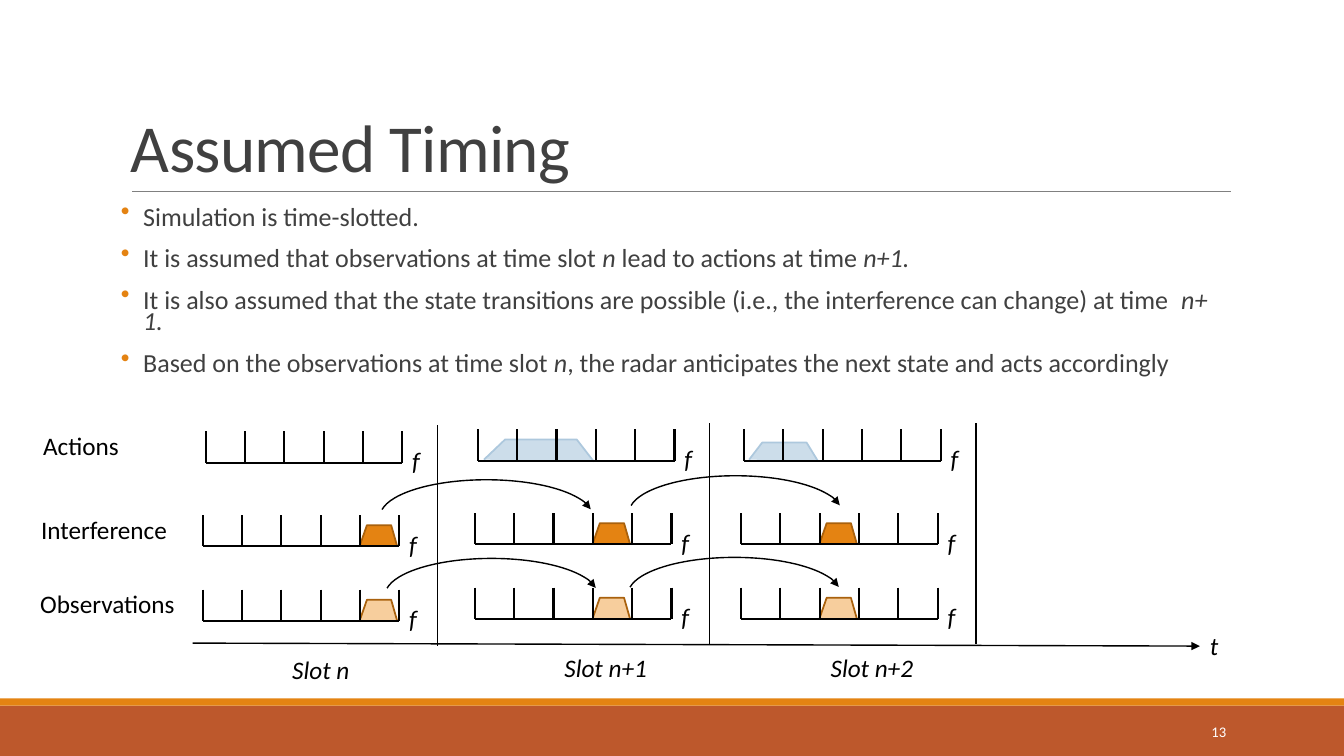
"""Build the Assumed Timing slide with python-pptx."""
from dataclasses import dataclass

from lxml.etree import SubElement
from pptx import Presentation
from pptx.dml.color import RGBColor
from pptx.enum.shapes import MSO_CONNECTOR, MSO_SHAPE
from pptx.enum.text import MSO_ANCHOR, PP_ALIGN
from pptx.oxml.ns import qn
from pptx.util import Inches, Pt


@dataclass(frozen=True)
class Theme:
    """Colours, font and type sizes of the slide."""
    font: str = "Calibri"
    ink: str = "000000"
    body: str = "404040"
    rule: str = "808080"
    white: str = "FFFFFF"
    band: str = "BD582C"
    accent: str = "E48312"
    accent_pale: str = "F7CE9D"
    accent_dark: str = "A9610D"
    action: str = "CCDDEA"
    action_edge: str = "ADC8DD"
    title_size: float = 48
    body_size: float = 18.6
    label_size: float = 18
    number_size: float = 10.5


class TimingSlide:
    """Holds the theme and the current slide and draws its elements."""

    def __init__(self, prs, theme):
        """Add a blank slide."""
        self.t = theme
        self.s = prs.slides.add_slide(prs.slide_layouts[6])

    def bar(self, y, h, color):
        """Draw a full-width band."""
        sp = self.s.shapes.add_shape(MSO_SHAPE.RECTANGLE, 0, Inches(y), Inches(13.33), Inches(h))
        sp.shadow.inherit = False
        sp.fill.solid()
        sp.fill.fore_color.rgb = RGBColor.from_string(color)
        sp.line.fill.background()

    def stroke(self, line, color, width, arrow=False):
        """Set the colour, width and arrowhead of a line."""
        line.color.rgb = RGBColor.from_string(color)
        line.width = Pt(width)
        if arrow:
            SubElement(line._get_or_add_ln(), qn("a:tailEnd"), type="triangle")

    def line(self, x1, y1, x2, y2, color, width, arrow=False, shapes=None):
        """Draw a straight line on the slide or in a group."""
        target = self.s.shapes if shapes is None else shapes
        cn = target.add_connector(MSO_CONNECTOR.STRAIGHT, *map(Inches, (x1, y1, x2, y2)))
        self.stroke(cn.line, color, width, arrow)
        SubElement(cn._element.spPr, qn("a:effectLst"))

    def style(self, r, size, color, italic=False):
        """Format one run."""
        r.font.name = self.t.font
        r.font.size = Pt(size)
        r.font.italic = italic
        r.font.color.rgb = RGBColor.from_string(color)

    def box(self, x, y, w, h, anchor=MSO_ANCHOR.TOP):
        """Add an empty wrapping text box and return its frame."""
        tf = self.s.shapes.add_textbox(*map(Inches, (x, y, w, h))).text_frame
        tf.word_wrap = True
        tf.vertical_anchor = anchor
        return tf

    def label(self, text, x, y, w, italic=True):
        """Write a short diagram label."""
        tf = self.box(x, y, w, 0.4)
        tf.text = text
        self.style(tf.paragraphs[0].runs[0], self.t.label_size, self.t.ink, italic)

    def title(self, text):
        """Write the slide title."""
        tf = self.box(1.2, 0.31, 11, 1.59, MSO_ANCHOR.BOTTOM)
        tf.text = text
        p = tf.paragraphs[0]
        p.line_spacing = 0.85
        self.style(p.runs[0], self.t.title_size, self.t.body)
        p.runs[0].font._element.set("spc", "-50")

    def number(self, text):
        """Write the slide number."""
        tf = self.box(10.83, 7.06, 1.43, 0.4, MSO_ANCHOR.MIDDLE)
        tf.text = text
        p = tf.paragraphs[0]
        p.alignment = PP_ALIGN.RIGHT
        self.style(p.runs[0], self.t.number_size, self.t.white)

    def bullets(self, items):
        """Write bullets whose parts alternate between upright and italic."""
        tf = self.box(1.2, 2.02, 11, 2.01)
        tf.margin_left = tf.margin_right = 0
        for i, parts in enumerate(items):
            p = tf.add_paragraph() if i else tf.paragraphs[0]
            p.line_spacing = 0.7
            p.space_before = Pt(12 if i else 0)
            p.space_after = Pt(2)
            pPr = p._p.get_or_add_pPr()
            pPr.set("marL", str(Inches(0.22)))
            pPr.set("indent", str(Inches(-0.22)))
            SubElement(SubElement(pPr, qn("a:buClr")), qn("a:srgbClr"), val=self.t.accent)
            SubElement(pPr, qn("a:buChar"), char="•")
            for k, text in enumerate(parts):
                r = p.add_run()
                r.text = text
                self.style(r, self.t.body_size, self.t.body, k % 2 == 1)

    def trapezoid(self, points, fill, edge):
        """Draw an occupied band with an open base."""
        pts = [(Inches(x), Inches(y)) for x, y in points]
        fb = self.s.shapes.build_freeform(*pts[0])
        fb.add_line_segments(pts[1:], close=False)
        sp = fb.convert_to_shape()
        sp.shadow.inherit = False
        sp.fill.solid()
        sp.fill.fore_color.rgb = RGBColor.from_string(fill)
        self.stroke(sp.line, edge, 1.25)

    def spectrum(self, x, base):
        """Draw a frequency axis of five channels."""
        shapes = self.s.shapes.add_group_shape().shapes
        self.line(x, base, x + 1.95, base, self.t.ink, 1.5, shapes=shapes)
        for i in range(6):
            tick = x + i * CHANNEL
            self.line(tick, base - 0.31, tick, base, self.t.ink, 1.5, shapes=shapes)
        self.label("f", x + 1.95, base - 0.22, 0.28)

    def arc(self, x, y):
        """Draw a curved arrow into the next slot."""
        sp = self.s.shapes.add_shape(MSO_SHAPE.ARC, *map(Inches, (x, y, 2.11, 0.73)))
        sp.shadow.inherit = False
        sp.adjustments[0], sp.adjustments[1] = 110.291, 213.617
        sp.fill.background()
        self.stroke(sp.line, self.t.ink, 1, arrow=True)


CHANNEL = 0.39
BULLETS = [
    ("Simulation is time-slotted.",),
    ("It is assumed that observations at time slot ", "n ", "lead to actions at time ", "n+1."),
    ("It is also assumed that the state transitions are possible "
     "(i.e., the interference can change) at time  ", "n+ 1."),
    ("Based on the observations at time slot ", "n",
     ", the radar anticipates the next state and acts accordingly"),
]
ACTIONS_Y, INTERFERENCE_Y, OBSERVATIONS_Y = 4.57, 5.4, 6.14
ROWS = [("Actions", 0.33, ACTIONS_Y), ("Interference", 0.31, INTERFERENCE_Y),
        ("Observations", 0.3, OBSERVATIONS_Y)]
SLOTS = [("Slot n", 2.01, 0.02, 4), ("Slot n+1", 4.71, 0, 3), ("Slot n+2", 7.35, 0, 2)]
ACTION_BANDS = [
    [(4.8, 4.56), (5.01, 4.36), (5.72, 4.36), (5.89, 4.58)],
    [(7.43, 4.56), (7.56, 4.39), (8, 4.39), (8.11, 4.57)],
]
ARCS = [(3.77, 4.76), (3.82, 5.54), (6.24, 4.72), (6.23, 5.53)]


def main():
    """Build and save the slide."""
    prs = Presentation()
    prs.slide_width, prs.slide_height = Inches(13.33), Inches(7.5)
    t = Theme()
    slide = TimingSlide(prs, t)
    slide.bar(7, 0.5, t.band)
    slide.bar(6.93, 0.07, t.accent)
    slide.line(1.31, 1.9, 12.21, 1.9, t.rule, 0.5)
    slide.title("Assumed Timing")
    slide.bullets(BULLETS)
    slide.number("13")
    slide.line(1.91, 6.38, 11.9, 6.41, t.ink, 1, arrow=True)
    slide.label("t", 11.9, 6.2, 0.29)
    for points in ACTION_BANDS:
        slide.trapezoid(points, t.action, t.action_edge)
    for name, x, y in ROWS:
        slide.label(name, x, y - 0.35, 1.6, italic=False)
    for name, x, drop, channel in SLOTS:
        left = x + channel * CHANNEL
        for y, fill in ((INTERFERENCE_Y, t.accent), (OBSERVATIONS_Y, t.accent_pale)):
            base = y + drop
            slide.trapezoid([(left, base - 0.01), (left + 0.07, base - 0.21),
                             (left + 0.31, base - 0.21), (left + 0.37, base)], fill, t.accent_dark)
            slide.spectrum(x, base)
        slide.spectrum(x + 0.03, ACTIONS_Y + drop)
        slide.line(x + 2.33, 4.2 + drop, x + 2.33, 6.39 + drop, t.ink, 1)
        slide.label(name, x + 0.79, 6.42 + drop, 1.03)
    for x, y in ARCS:
        slide.arc(x, y)
    prs.save("out.pptx")


if __name__ == "__main__":
    main()
